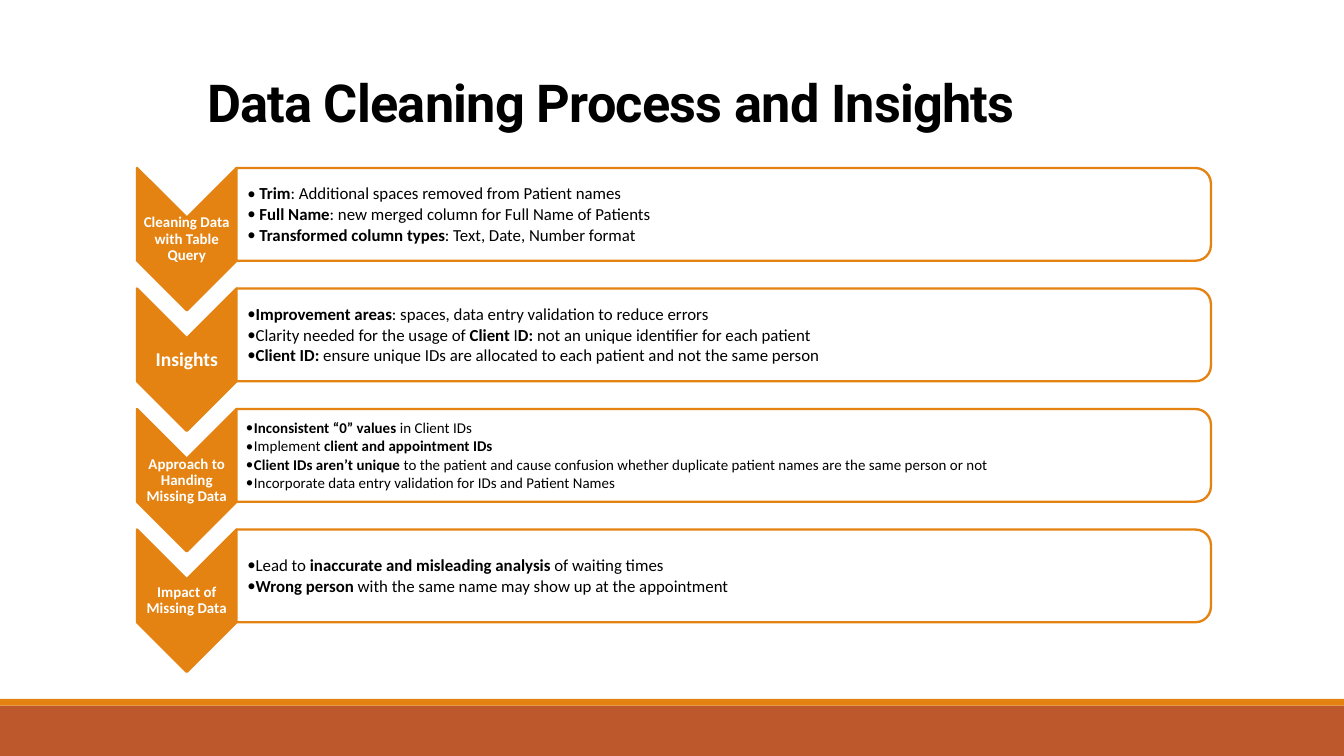
from dataclasses import dataclass

from lxml import etree
from pptx import Presentation
from pptx.dml.color import RGBColor
from pptx.enum import shapes, text
from pptx.oxml import ns
from pptx.util import Inches, Pt


@dataclass(frozen=True)
class Theme:
    orange: str = "E48312"
    rust: str = "BD582C"
    white: str = "FFFFFF"
    black: str = "000000"
    body_font: str = "Calibri"
    title_font: str = "Roboto"
    title_size: float = 28
    label_size: float = 8
    large_label_size: float = 10.5
    point_size: float = 9
    small_point_size: float = 8
    outline: float = 1.25


@dataclass(frozen=True)
class Box:
    left: float
    top: float
    width: float
    height: float

    def lengths(self):
        return [Inches(v) for v in (self.left, self.top, self.width, self.height)]

    def before_quarter_turn(self):
        """The unrotated frame that covers this box once turned by 90 degrees."""
        shift = (self.width - self.height) / 2
        return Box(self.left + shift, self.top - shift, self.height, self.width)


@dataclass(frozen=True)
class Step:
    label: str
    points: tuple[str, ...]  # ** switches bold on and off
    label_size: float
    point_size: float
    inset: float = 0.07


THEME = Theme()
STEPS = (
    Step("Cleaning Data with Table Query", (
        " **Trim**: Additional spaces removed from Patient names",
        " **Full Name**: new merged column for Full Name of Patients",
        " **Transformed column types**: Text, Date, Number format",
    ), THEME.label_size, THEME.point_size),
    Step("Insights", (
        "**Improvement areas**: spaces, data entry validation to reduce errors",
        "Clarity needed for the usage of **Client **I**D: **not an unique identifier for each patient",
        "**Client ID: **ensure unique IDs are allocated to each patient and not the same person",
    ), THEME.large_label_size, THEME.point_size),
    Step("Approach to Handing Missing Data", (
        "**Inconsistent “0” values **in Client IDs",
        "Implement **client and appointment IDs**",
        "**Client IDs aren’t unique **to the patient and cause confusion whether "
        "duplicate patient names are the same person or not",
        "Incorporate data entry validation for IDs and Patient Names",
    ), THEME.label_size, THEME.small_point_size, 0.06),
    Step("Impact of Missing Data", (
        "Lead to **inaccurate and misleading analysis **of waiting times",
        "**Wrong person **with the same name may show up at the appointment",
    ), THEME.label_size, THEME.point_size),
)
FIRST_TOP, LAST_TOP = 1.25, 3.94
PITCH = (LAST_TOP - FIRST_TOP) / (len(STEPS) - 1)


def add_block(slide, kind, box: Box, fill: str, outline: str | None = None, turned: bool = False):
    frame = box.before_quarter_turn() if turned else box
    block = slide.shapes.add_shape(kind, *frame.lengths())
    block.shadow.inherit = False
    block.rotation = 90 if turned else 0
    block.fill.solid()
    block.fill.fore_color.rgb = RGBColor.from_string(fill)
    if outline:
        block.line.color.rgb = RGBColor.from_string(outline)
        block.line.width = Pt(THEME.outline)
    else:
        block.line.fill.background()
    return block


def add_frame(slide, box: Box, left_inset: float = 0.01):
    frame = slide.shapes.add_textbox(*box.lengths()).text_frame
    settings = {
        "word_wrap": True,
        "vertical_anchor": text.MSO_ANCHOR.MIDDLE,
        "margin_left": Inches(left_inset),
        "margin_top": Inches(0.01),
        "margin_right": Inches(0.01),
        "margin_bottom": Inches(0.01),
    }
    for name, value in settings.items():
        setattr(frame, name, value)
    return frame


def add_run(paragraph, words: str, size: float, color: str, bold: bool, font: str = THEME.body_font):
    run = paragraph.add_run()
    run.text = words
    for name, value in {"name": font, "size": Pt(size), "bold": bold}.items():
        setattr(run.font, name, value)
    run.font.color.rgb = RGBColor.from_string(color)
    return run


def add_bullet(paragraph) -> None:
    properties = paragraph._p.get_or_add_pPr()
    properties.set("marL", str(Inches(0.06)))
    properties.set("indent", str(-Inches(0.06)))
    color = etree.SubElement(properties, ns.qn("a:buClr"))
    etree.SubElement(color, ns.qn("a:srgbClr"), val=THEME.black)
    etree.SubElement(properties, ns.qn("a:buFont"), typeface=THEME.body_font)
    etree.SubElement(properties, ns.qn("a:buChar"), char="•")


def add_step(slide, step: Step, top: float) -> None:
    # Chevron and its label
    add_block(slide, shapes.MSO_SHAPE.CHEVRON, Box(1.02, top, 0.74, 1.06),
              THEME.orange, THEME.orange, turned=True)
    label = add_frame(slide, Box(1.02, top + 0.37, 0.74, 0.32)).paragraphs[0]
    label.alignment = text.PP_ALIGN.CENTER
    label.line_spacing = 0.9
    add_run(label, step.label, step.label_size, THEME.white, True)

    # Panel and its points
    add_block(slide, shapes.MSO_SHAPE.ROUND_2_SAME_RECTANGLE, Box(1.76, top, 7.25, 0.69),
              THEME.white, THEME.orange, turned=True)
    frame = add_frame(slide, Box(1.77, top + 0.04, 7.22, 0.62), step.inset)
    for index, point in enumerate(step.points):
        paragraph = frame.add_paragraph() if index else frame.paragraphs[0]
        paragraph.level = 1
        paragraph.line_spacing = 0.9
        paragraph.space_after = Pt(0.15 * step.point_size)
        add_bullet(paragraph)
        for part, words in enumerate(point.split("**")):
            if words:
                add_run(paragraph, words, step.point_size, THEME.black, part % 2 == 1)


def main() -> None:
    deck = Presentation()
    deck.slide_width, deck.slide_height = Inches(10), Inches(10 * 9 / 16)
    slide = deck.slides.add_slide(deck.slide_layouts[6])

    # Footer bands
    add_block(slide, shapes.MSO_SHAPE.RECTANGLE, Box(0, 5.25, 10, 0.38), THEME.rust)
    add_block(slide, shapes.MSO_SHAPE.RECTANGLE, Box(0, 5.2, 10, 0.05), THEME.orange)

    # Process steps
    for index, step in enumerate(STEPS):
        add_step(slide, step, FIRST_TOP + index * PITCH)

    # Title
    title = slide.shapes.add_textbox(*Box(1.31, 0.47, 6.47, 0.77).lengths()).text_frame
    title.word_wrap = True
    heading = title.paragraphs[0]
    heading.alignment = text.PP_ALIGN.CENTER
    run = add_run(heading, "Data Cleaning Process and Insights", THEME.title_size,
                  THEME.black, True, THEME.title_font)
    run.font._element.set("spc", "-40")

    deck.save("out.pptx")


if __name__ == "__main__":
    main()
